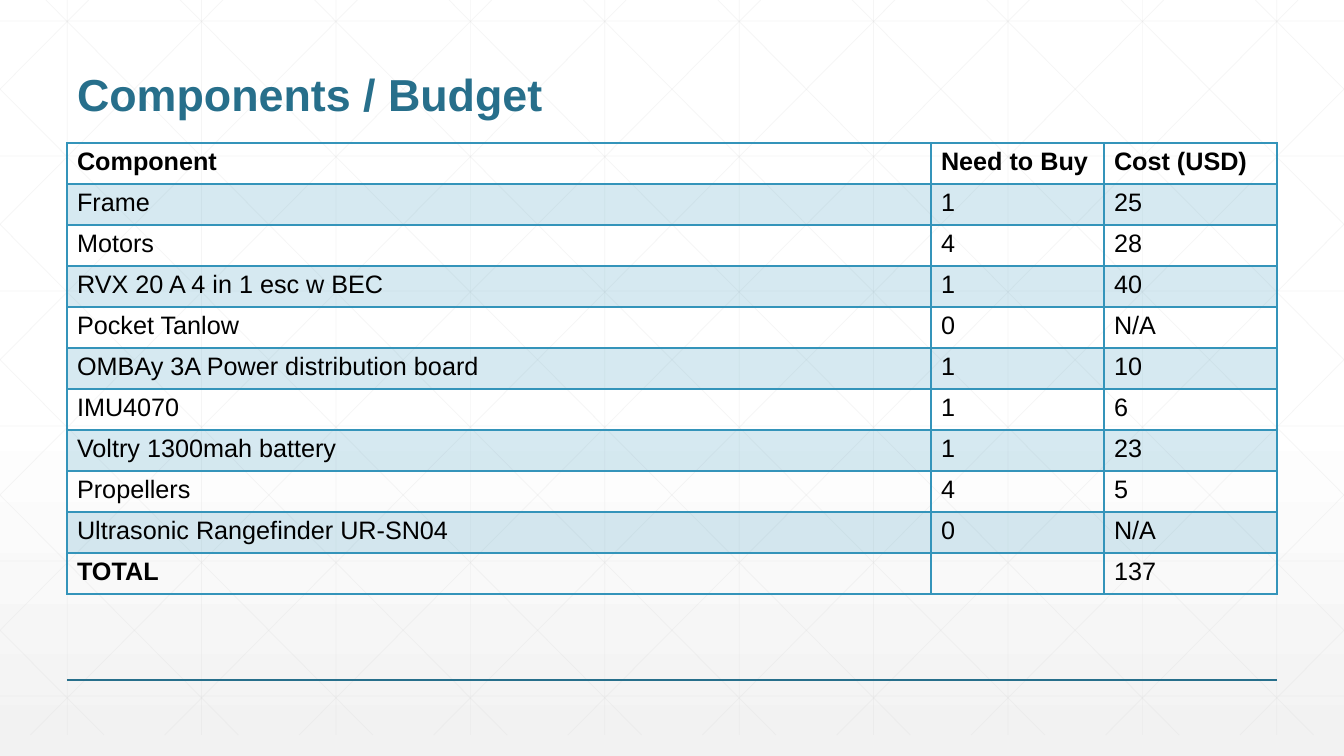
from lxml import etree
from pptx import Presentation
from pptx.dml.color import RGBColor
from pptx.enum.shapes import MSO_CONNECTOR
from pptx.enum.text import MSO_ANCHOR, PP_ALIGN
from pptx.oxml.ns import qn
from pptx.util import Emu, Pt

# Content
TITLE = "Components / Budget"
ROWS = [
    ("Component", "Need to Buy", "Cost (USD)"),
    ("Frame", "1", "25"),
    ("Motors", "4", "28"),
    ("RVX 20 A 4 in 1 esc w BEC", "1", "40"),
    ("Pocket Tanlow", "0", "N/A"),
    ("OMBAy 3A Power distribution board", "1", "10"),
    ("IMU4070", "1", "6"),
    ("Voltry 1300mah battery", "1", "23"),
    ("Propellers", "4", "5"),
    ("Ultrasonic Rangefinder UR-SN04", "0", "N/A"),
    ("TOTAL", "", "137"),
]
COLORS = {"title": "276F8B", "accent": "3494BA", "text": "000000",
          "grid": "D9D9D9", "white": "FFFFFF", "shade": "F2F2F2"}
FONT = "Arial"

# Lengths in pixels
SCALE = 914400 / 100.8
WIDTH, HEIGHT = 1344, 756
LEFT, CONTENT_WIDTH = 67, 1210
TABLE_TOP, ROW_HEIGHT = 143, 41
COLUMN_WIDTHS = (864, 173, 173)
GRID_STEP, GRID_TOP, GRID_BOTTOM = WIDTH / 10, -21, 735
DIAGONAL_START, DIAGONAL_RUN = 25, 751


def px(value):
    return Emu(round(value * SCALE))


def rgb(name):
    return RGBColor.from_string(COLORS[name])


def set_alpha(fill_parent, percent):
    color = fill_parent.find(".//" + qn("a:srgbClr"))
    etree.SubElement(color, qn("a:alpha"), val=str(percent * 1000))


def add_line(shapes, start, end, color, width, alpha=100):
    line = shapes.add_connector(MSO_CONNECTOR.STRAIGHT, *map(px, start + end))
    line.line.color.rgb = rgb(color)
    line.line.width = Pt(width)
    properties = line.element.spPr
    if alpha < 100:
        set_alpha(properties, alpha)
    etree.SubElement(properties, qn("a:effectLst"))


def set_font(paragraph, size, color, bold):
    font = paragraph.font
    font.name, font.size, font.bold = FONT, Pt(size), bold
    font.color.rgb = rgb(color)


def set_borders(cell, widths):
    properties = cell._tc.get_or_add_tcPr()
    for position, (side, width) in enumerate(widths.items()):
        border = etree.Element(qn("a:ln" + side), w=str(Pt(width)))
        fill = etree.SubElement(border, qn("a:solidFill"))
        etree.SubElement(fill, qn("a:srgbClr"), val=COLORS["accent"])
        properties.insert(position, border)


presentation = Presentation()
presentation.slide_width, presentation.slide_height = px(WIDTH), px(HEIGHT)
slide = presentation.slides.add_slide(presentation.slide_layouts[5])

# Background gradient
background = slide.background.fill
background.gradient()
background.gradient_angle = 270
for stop, (position, color) in zip(background.gradient_stops,
                                   ((0.53, "white"), (1, "shade"))):
    stop.position = position
    stop.color.rgb = rgb(color)

# Background grid: verticals, horizontals, then mirrored diagonals cut at the edges
grid_lines = []
for index in range(10):
    x = GRID_STEP * (index + 0.5)
    grid_lines.append(((x, 0), (x, GRID_BOTTOM)))
for index in range(6):
    y = 21 + 135 * index
    grid_lines.append(((0, y), (WIDTH, y)))
slope = (GRID_BOTTOM - GRID_TOP) / DIAGONAL_RUN
for index in range(-5, 10):
    origin = DIAGONAL_START + GRID_STEP * index
    x1 = max(0, origin - GRID_TOP / slope)
    x2 = min(WIDTH, origin + DIAGONAL_RUN)
    y1, y2 = (GRID_TOP + (x - origin) * slope for x in (x1, x2))
    grid_lines.append(((x1, y1), (x2, y2)))
    grid_lines.append(((WIDTH - x1, y1), (WIDTH - x2, y2)))
grid = slide.shapes.add_group_shape()
for start, end in grid_lines:
    add_line(grid.shapes, start, end, "grid", 0.5, alpha=25)

# Footer rule
add_line(slide.shapes, (LEFT, 680), (LEFT + CONTENT_WIDTH, 680), "title", 1)

# Title, brought in front of the grid
title = slide.shapes.title
title.element.getparent().append(title.element)
title.left, title.top = px(LEFT), px(25)
title.width, title.height = px(CONTENT_WIDTH), px(101)
title.text_frame.text = TITLE
title.text_frame.word_wrap = True
title.text_frame.vertical_anchor = MSO_ANCHOR.BOTTOM
heading = title.text_frame.paragraphs[0]
heading.alignment = PP_ALIGN.LEFT
heading.line_spacing = 0.9
set_font(heading, 32, "title", True)

# Budget table
table = slide.shapes.add_table(
    len(ROWS), len(COLUMN_WIDTHS), px(LEFT), px(TABLE_TOP),
    px(CONTENT_WIDTH), px(ROW_HEIGHT * len(ROWS))).table
table.first_row = table.horz_banding = False
for column, width in zip(table.columns, COLUMN_WIDTHS):
    column.width = px(width)
for row_index, row in enumerate(ROWS):
    table.rows[row_index].height = px(ROW_HEIGHT)
    for column_index, text in enumerate(row):
        cell = table.cell(row_index, column_index)
        cell.text = text
        set_font(cell.text_frame.paragraphs[0], 18, "text",
                 row_index == 0 or text == "TOTAL")
        if row_index % 2:
            cell.fill.solid()
            cell.fill.fore_color.rgb = rgb("accent")
            set_alpha(cell._tc.tcPr, 20)
        else:
            cell.fill.background()
        set_borders(cell, {"L": 1, "R": 1,
                           "T": 2 if row_index == 1 else 1,
                           "B": 2 if row_index == 0 else 1})

presentation.save("out.pptx")
